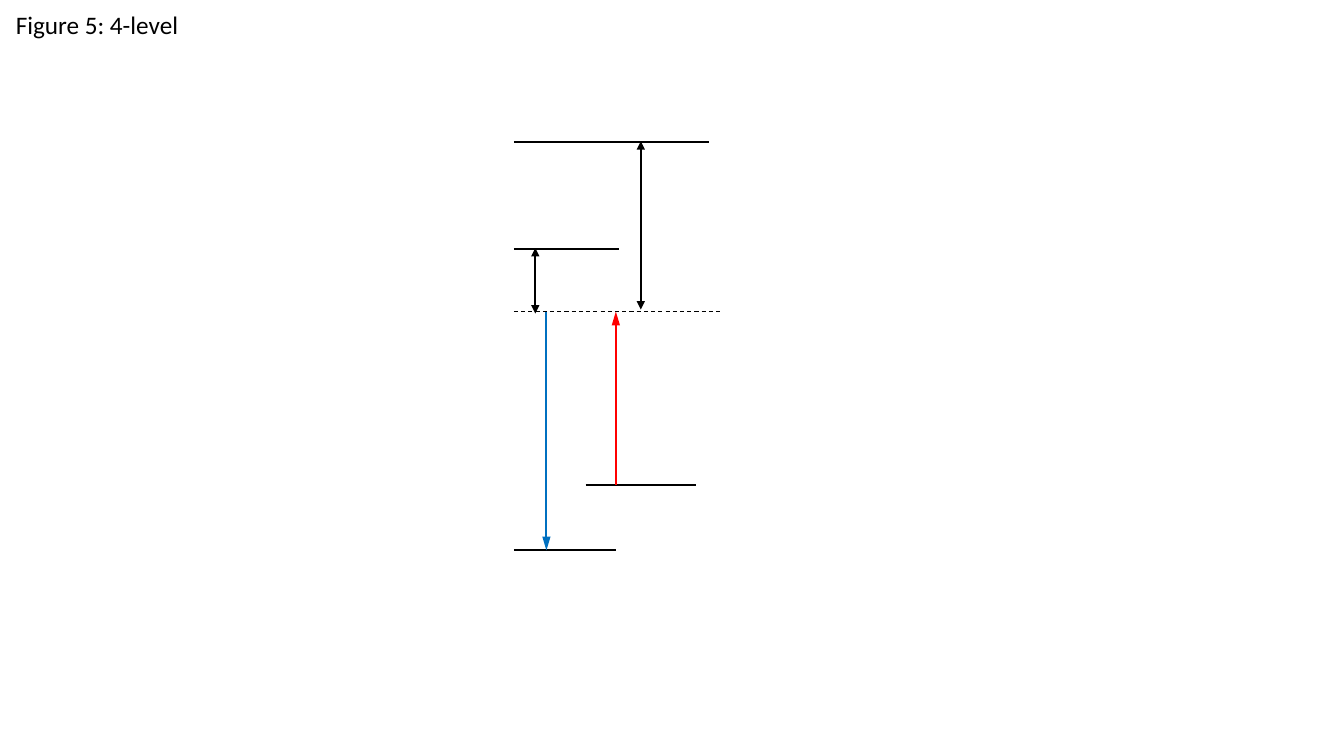
import pptx
import pptx.dml.color
import pptx.enum.dml
import pptx.enum.shapes
import pptx.enum.text
import pptx.oxml.ns
import pptx.util
from lxml import etree

Cm, Pt = pptx.util.Cm, pptx.util.Pt

TITLE = "Figure 5: 4-level"

# name: (left, right, height on the slide), in cm
LEVELS = {
    "top": (12.95, 17.88, 3.58),
    "upper": (12.95, 15.6, 6.27),
    "virtual": (12.95, 18.16, 7.85),
    "lower": (14.76, 17.53, 12.22),
    "ground": (12.95, 15.52, 13.87),
}

# x, start level, end level, offset at start, offset at end, colour, double
ARROWS = [
    (15.52, "lower", "virtual", 0, 0, "pump", False),
    (13.77, "virtual", "ground", 0, 0, "decay", False),
    (13.49, "virtual", "upper", 0.05, -0.02, "ink", True),
    (16.15, "virtual", "top", -0.05, -0.02, "ink", True),
]

THEME = {
    "font": "Calibri", "size": 18, "thick": 1.5, "thin": 0.75,
    "ink": "000000", "pump": "FF0000", "decay": "0070C0",
}


def color(name):
    return pptx.dml.color.RGBColor.from_string(THEME[name])


def add_line(group, start, end, ink="ink", width="thick"):
    link = group.shapes.add_connector(
        pptx.enum.shapes.MSO_CONNECTOR.STRAIGHT,
        Cm(start[0]), Cm(start[1]), Cm(end[0]), Cm(end[1]))
    link.line.color.rgb = color(ink)
    link.line.width = Pt(THEME[width])
    props = link.line._get_or_add_ln().getparent()
    etree.SubElement(props, pptx.oxml.ns.qn("a:effectLst"))
    return link


def add_tip(link, end, length):
    """Put a triangle on the headEnd or tailEnd of a line."""
    tip = etree.SubElement(link.line._get_or_add_ln(),
                           pptx.oxml.ns.qn("a:" + end))
    tip.set("type", "triangle")
    tip.set("w", "med")
    tip.set("len", length)


def add_title(slide):
    box = slide.shapes.add_textbox(Cm(0.15), Cm(0.1), Cm(4.65), Cm(1.02))
    frame = box.text_frame
    frame.text = TITLE
    frame.word_wrap = False
    frame.auto_size = pptx.enum.text.MSO_AUTO_SIZE.SHAPE_TO_FIT_TEXT
    font = frame.paragraphs[0].runs[0].font
    font.name = THEME["font"]
    font.size = Pt(THEME["size"])
    font.color.rgb = color("ink")


def add_levels(group):
    for name, (left, right, y) in LEVELS.items():
        dashed = name == "virtual"
        link = add_line(group, (left, y), (right, y),
                        width="thin" if dashed else "thick")
        if dashed:
            link.line.dash_style = pptx.enum.dml.MSO_LINE.DASH


def add_arrows(group):
    for x, start, end, shift, stop, ink, double in ARROWS:
        link = add_line(group, (x, LEVELS[start][2] + shift),
                        (x, LEVELS[end][2] + stop), ink)
        length = "med" if double else "lg"
        if double:
            add_tip(link, "headEnd", length)
        add_tip(link, "tailEnd", length)


def main():
    deck = pptx.Presentation()
    deck.slide_width, deck.slide_height = Cm(33.87), Cm(19.05)
    slide = deck.slides.add_slide(deck.slide_layouts[6])
    add_title(slide)
    group = slide.shapes.add_group_shape()
    add_levels(group)
    add_arrows(group)
    deck.save("out.pptx")


if __name__ == "__main__":
    main()
